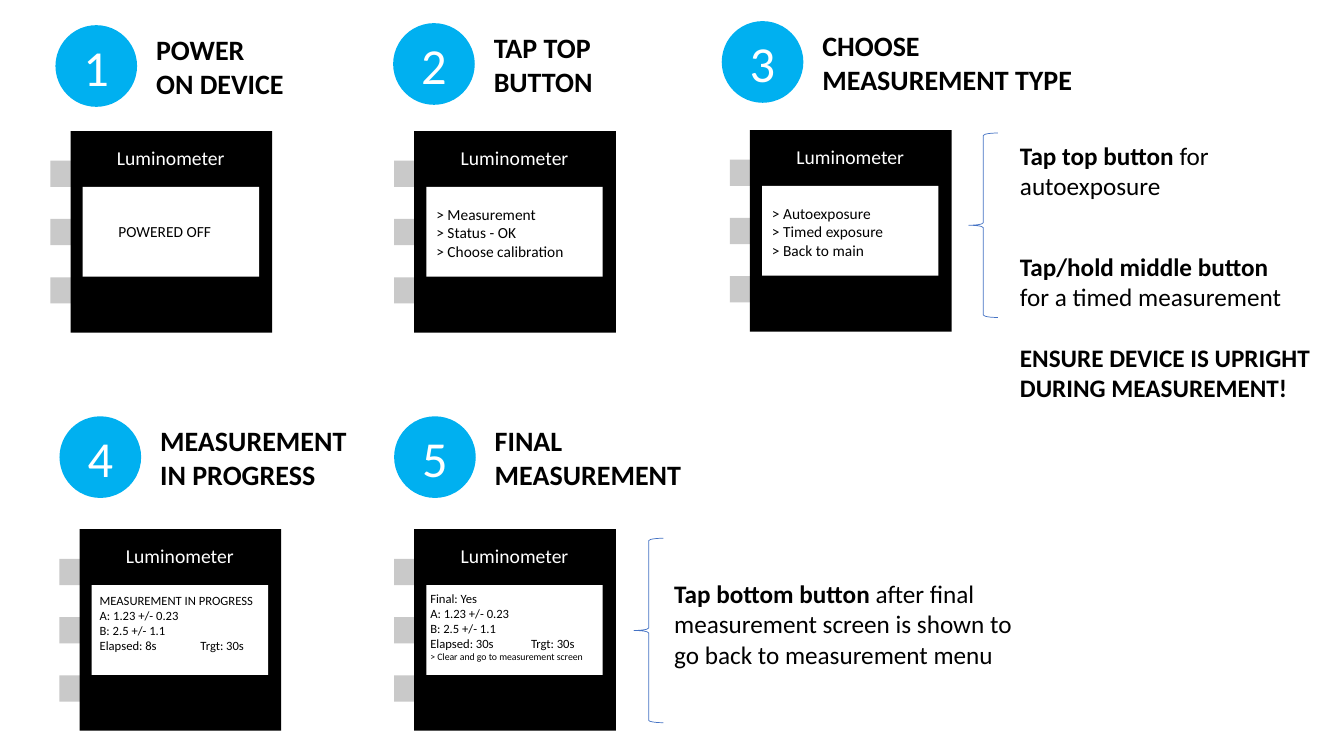
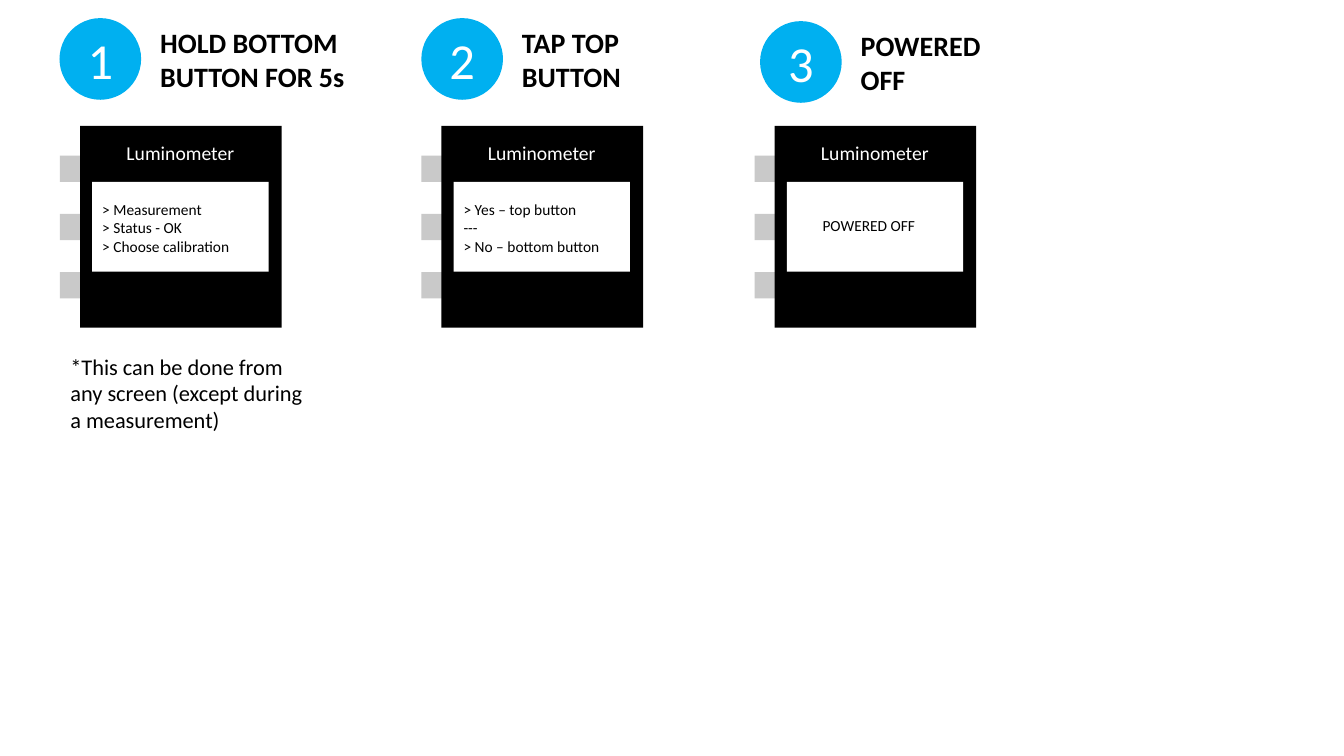
from pptx import Presentation
from pptx.dml.color import RGBColor as Rgb
from pptx.enum.shapes import MSO_SHAPE as Kind
from pptx.enum.text import MSO_ANCHOR as Anchor, MSO_AUTO_SIZE as Fit, PP_ALIGN as Align
from pptx.oxml.ns import qn
from pptx.util import Inches, Pt
from lxml.etree import SubElement as Sub

# Shared look
FONT = "Calibri"
BLACK, WHITE, GRAY, CYAN, BLUE = "000000", "FFFFFF", "C9C9C9", "00B0F0", "4472C4"

# The grid has square cells, ten to the inch
CELL = Inches(0.1)
COLS, ROWS = 133.33, 75
BODY = 20            # side of a device
BADGE = 8.1          # side of a number badge
KEY_GAP = 5.78       # from one button to the next

MENU = ["> Measurement", "> Status - OK", "> Choose calibration"]
READS = ["A: 1.23 +/- 0.23", "B: 2.5 +/- 1.1"]


def grid(*cells):
    return [int(n * CELL) for n in cells]


def paint(code):
    return Rgb.from_string(code)


def tab_stop(para):
    stops = Sub(para._p.get_or_add_pPr(), qn("a:tabLst"))
    Sub(stops, qn("a:tab"), pos=str(Inches(1)), algn="l")


def write(frame, paras, size, color=BLACK, bold=False, align=Align.LEFT, gaps=()):
    """Each paragraph is a string or a list of (text, bold, size) runs."""
    for i, runs in enumerate(paras):
        para = frame.paragraphs[0] if i == 0 else frame.add_paragraph()
        para.alignment = align
        if i in gaps:
            para.space_before = Pt(22)
        if isinstance(runs, str):
            runs = [(runs, bold, size)]
        if any("\t" in text for text, _, _ in runs):
            tab_stop(para)
        for text, strong, points in runs:
            run = para.add_run()
            run.text = text
            run.font.name = FONT
            run.font.size = Pt(points)
            run.font.bold = strong
            run.font.color.rgb = paint(color)


def label(shapes, box, paras, size, **style):
    frame = shapes.add_textbox(*grid(*box)).text_frame
    frame.word_wrap = True
    frame.auto_size = Fit.SHAPE_TO_FIT_TEXT
    write(frame, paras, size, **style)


def block(shapes, kind, box, fill):
    shape = shapes.add_shape(kind, *grid(*box))
    shape.shadow.inherit = False
    shape.fill.solid()
    shape.fill.fore_color.rgb = paint(fill)
    shape.line.fill.background()
    return shape


def brace(shapes, x, y):
    shape = shapes.add_shape(Kind.LEFT_BRACE, *grid(x, y, 2.9, 18.3))
    shape.shadow.inherit = False
    shape.fill.background()
    shape.line.color.rgb = paint(BLUE)
    shape.line.width = Pt(0.5)


def step(shapes, num, x, y, title, wide=14.9):
    """Numbered badge with its bold heading."""
    badge = block(shapes, Kind.OVAL, (x, y, BADGE, BADGE), CYAN)
    badge.text_frame.vertical_anchor = Anchor.MIDDLE
    write(badge.text_frame, [str(num)], 36, color=WHITE, align=Align.CENTER)
    label(shapes, (x + 9, y + 0.25, wide, 7.7), [title], 20, bold=True)


def device(shapes, x, y, paras, size=11, shift=(1.2, 6.85), **style):
    """Meter with three side buttons; shift places the screen text."""
    parts = shapes.add_group_shape().shapes
    for i in range(3):
        block(parts, Kind.RECTANGLE, (x - 2, y + 2.95 + i * KEY_GAP, 5.2, 2.6), GRAY)
    block(parts, Kind.RECTANGLE, (x, y, BODY, BODY), BLACK)
    block(parts, Kind.RECTANGLE, (x + 1.2, y + 5.55, 17.5, 8.9), WHITE)
    label(parts, (x - 2.9, y + 0.95, 25.7, 3.4), ["Luminometer"], 14,
          color=WHITE, align=Align.CENTER)
    dx, dy = shift
    label(parts, (x + dx, y + dy, 17.5, 6.6), paras, size, **style)


def off(shapes, x, y):
    device(shapes, x, y, ["POWERED OFF"], shift=(0.6, 8.5), align=Align.CENTER)


def measure(shapes):
    # Top row: start and choose
    step(shapes, 1, 5.5, 2.5, "POWER ON DEVICE")
    off(shapes, 7, 13)
    step(shapes, 2, 39, 2.3, "TAP TOP BUTTON")
    device(shapes, 41.1, 13, MENU)
    step(shapes, 3, 71.6, 2.1, "CHOOSE MEASUREMENT TYPE", 26.9)
    device(shapes, 74.4, 12.9, ["> Autoexposure", "> Timed exposure", "> Back to main"])
    brace(shapes, 96.1, 13.2)
    label(shapes, (100.2, 13.4, 28.1, 7.1),
          [[("Tap top button ", True, 18), ("for autoexposure", False, 18)]], 18)
    label(shapes, (100.2, 24.4, 32.3, 16.2),
          [[("Tap/hold middle button", True, 18)],
           "for a timed measurement",
           [("ENSURE DEVICE IS UPRIGHT DURING MEASUREMENT!", True, 18)]],
          18, gaps=(2,))

    # Bottom row: progress and result
    step(shapes, 4, 5.9, 41.3, "MEASUREMENT IN PROGRESS", 21.4)
    device(shapes, 7.9, 52.5,
           ["MEASUREMENT IN PROGRESS", *READS, "Elapsed: 8s\tTrgt: 30s"],
           9, (1, 5.8))
    step(shapes, 5, 39.1, 41.3, "FINAL MEASUREMENT", 21.4)
    device(shapes, 41.1, 52.5,
           ["Final: Yes", *READS, "Elapsed: 30s\tTrgt: 30s",
            [("> Clear and go to measurement screen", False, 7)]],
           9, (0.6, 5.6))
    brace(shapes, 62.9, 53.4)
    label(shapes, (65.9, 56.9, 37.6, 10.1),
          [[("Tap bottom button ", True, 18),
            ("after final measurement screen is shown to go back to measurement menu",
             False, 18)]], 18)


def shut_down(shapes):
    step(shapes, 1, 5.9, 1.8, "HOLD BOTTOM BUTTON FOR 5s", 23.2)
    device(shapes, 7.95, 12.5, MENU)
    label(shapes, (6, 34.5, 25.7, 9.1),
          ["*This can be done from any screen (except during a measurement)"], 16)
    step(shapes, 2, 41.8, 1.8, "TAP TOP BUTTON")
    device(shapes, 43.8, 12.5, ["> Yes – top button", "---", "> No – bottom button"])
    step(shapes, 3, 75.4, 2.1, "POWERED OFF")
    off(shapes, 76.85, 12.5)


def main():
    deck = Presentation()
    deck.slide_width, deck.slide_height = grid(COLS, ROWS)
    blank = deck.slide_layouts[6]
    for draw in (measure, shut_down):
        draw(deck.slides.add_slide(blank).shapes)
    deck.save("out.pptx")


if __name__ == "__main__":
    main()
